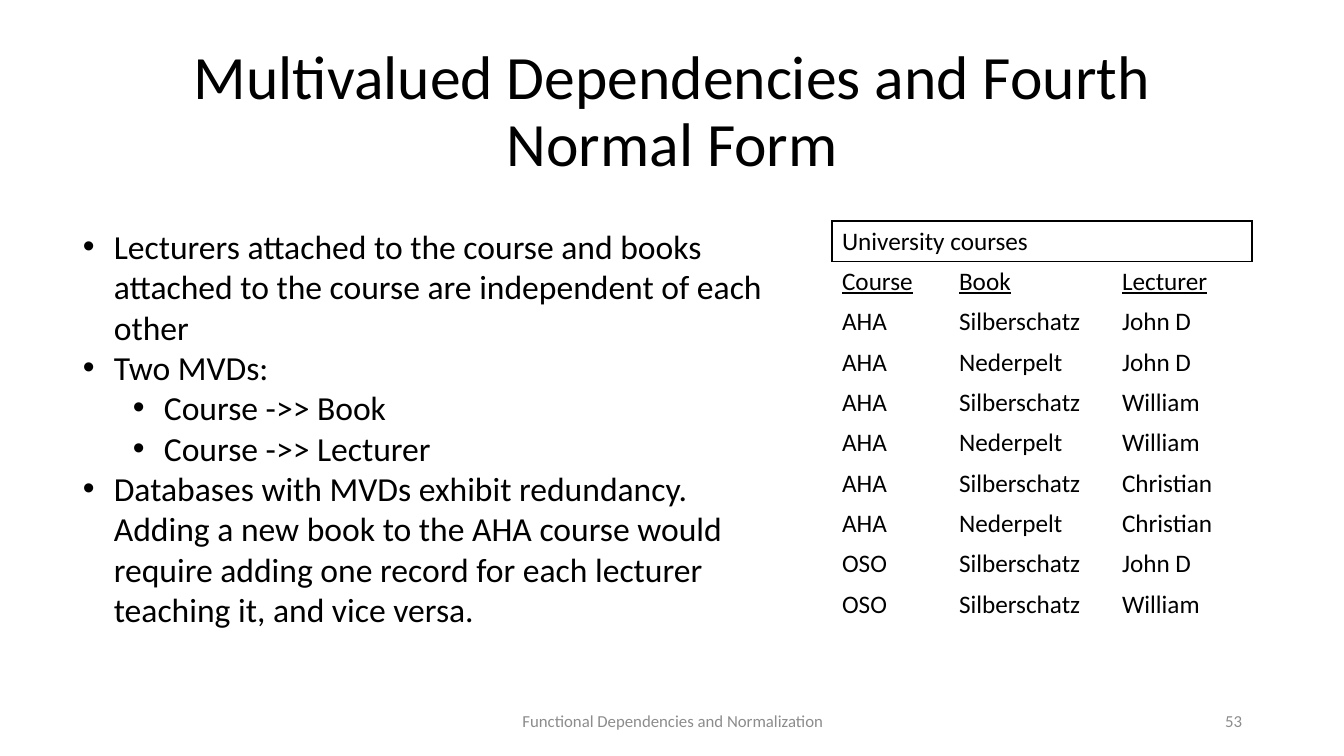
"""Build the slide on multivalued dependencies and fourth normal form."""
from dataclasses import dataclass

from lxml.etree import SubElement
from pptx import Presentation
from pptx.dml.color import RGBColor
from pptx.enum.text import MSO_ANCHOR as Anchor, PP_ALIGN as Align
from pptx.oxml.ns import qn
from pptx.slide import Slide
from pptx.table import _Cell as Cell
from pptx.text.text import _Paragraph as Paragraph
from pptx.util import Pt

EMU_PER_PX = 914400 / 100.8
FONT = "Calibri"
BLACK = "000000"
GREY = "8C8C8C"
NO_GRID_STYLE = "{2D5ABB26-0587-4C30-8999-92F81FD0307C}"
BULLET_HANG = 31
LEVEL_STEP = 50


@dataclass(frozen=True)
class Line:
    """One paragraph with its outline level."""
    text: str
    level: int = 0


@dataclass(frozen=True)
class Block:
    """A text box measured in px, with its paragraphs."""
    left: int
    top: int
    width: int
    height: int
    size: int
    lines: tuple[Line, ...]
    color: str = BLACK
    align: Align = Align.LEFT
    anchor: Anchor = Anchor.MIDDLE
    spacing: float = 1.0
    bulleted: bool = False


BLOCKS = (
    Block(93, 40, 1159, 146, 44,
          (Line("Multivalued Dependencies and Fourth Normal Form"),),
          align=Align.CENTER, spacing=0.9),
    Block(446, 701, 454, 40, 12,
          (Line("Functional Dependencies and Normalization"),),
          GREY, Align.CENTER),
    Block(950, 701, 302, 40, 12, (Line("53"),), GREY, Align.RIGHT),
    Block(73, 221, 711, 417, 24, (
        Line("Lecturers attached to the course and books attached to the "
             "course are independent of each other"),
        Line("Two MVDs:"),
        Line("Course ->> Book", 1),
        Line("Course ->> Lecturer", 1),
        Line("Databases with MVDs exhibit redundancy. Adding a new book to "
             "the AHA course would require adding one record for each "
             "lecturer teaching it, and vice versa."),
    ), anchor=Anchor.TOP, bulleted=True),
)

TABLE_LEFT, TABLE_TOP, ROW_HEIGHT = 832, 221, 40
COLUMN_WIDTHS = (117, 163, 140)
COURSES = (
    ("University courses", "", ""),
    ("Course", "Book", "Lecturer"),
    ("AHA", "Silberschatz", "John D"),
    ("AHA", "Nederpelt", "John D"),
    ("AHA", "Silberschatz", "William"),
    ("AHA", "Nederpelt", "William"),
    ("AHA", "Silberschatz", "Christian"),
    ("AHA", "Nederpelt", "Christian"),
    ("OSO", "Silberschatz", "John D"),
    ("OSO", "Silberschatz", "William"),
)
CAPTION_BORDERS = (("lnL", "lnR", "lnT", "lnB"), ("lnT",), ("lnR", "lnT"))


def px(length: int) -> int:
    """Turn px into EMU."""
    return round(length * EMU_PER_PX)


def rgb(color: str) -> RGBColor:
    """Turn a hex string into a colour."""
    return RGBColor.from_string(color)


def set_font(paragraph: Paragraph, size: int, color: str) -> None:
    """Set the font of a whole paragraph."""
    paragraph.font.name = FONT
    paragraph.font.size = Pt(size)
    paragraph.font.color.rgb = rgb(color)


def add_bullet(paragraph: Paragraph, level: int) -> None:
    """Give a paragraph a hanging bullet at its level."""
    paragraph.level = level
    properties = paragraph._p.get_or_add_pPr()
    properties.set("marL", str(px(BULLET_HANG + level * LEVEL_STEP)))
    properties.set("indent", str(-px(BULLET_HANG)))
    SubElement(properties, qn("a:buFont")).set("typeface", "Arial")
    SubElement(properties, qn("a:buChar")).set("char", "•")


def add_block(slide: Slide, block: Block) -> None:
    """Draw one text block."""
    frame = slide.shapes.add_textbox(
        px(block.left), px(block.top), px(block.width), px(block.height)
    ).text_frame
    frame.word_wrap = True
    frame.vertical_anchor = block.anchor
    for index, line in enumerate(block.lines):
        paragraph = frame.add_paragraph() if index else frame.paragraphs[0]
        paragraph.text = line.text
        paragraph.alignment = block.align
        paragraph.line_spacing = block.spacing
        if block.bulleted:
            add_bullet(paragraph, line.level)
        set_font(paragraph, block.size, block.color)


def add_borders(cell: Cell, sides: tuple[str, ...]) -> None:
    """Draw thin black borders on the named sides of a cell."""
    properties = cell._tc.get_or_add_tcPr()
    for position, side in enumerate(sides):
        border = properties.makeelement(qn(f"a:{side}"), {"w": str(Pt(1))})
        properties.insert(position, border)
        fill = SubElement(border, qn("a:solidFill"))
        SubElement(fill, qn("a:srgbClr")).set("val", BLACK)


def add_courses(slide: Slide) -> None:
    """Draw the table of university courses."""
    table = slide.shapes.add_table(
        len(COURSES), len(COLUMN_WIDTHS), px(TABLE_LEFT), px(TABLE_TOP),
        px(sum(COLUMN_WIDTHS)), px(ROW_HEIGHT * len(COURSES))
    ).table
    table.first_row = table.horz_banding = False
    table._tbl.tblPr.find(qn("a:tableStyleId")).text = NO_GRID_STYLE
    for column, width in zip(table.columns, COLUMN_WIDTHS):
        column.width = px(width)
    for row_index, row in enumerate(COURSES):
        for column_index, text in enumerate(row):
            cell = table.cell(row_index, column_index)
            cell.text = text
            cell.vertical_anchor = Anchor.MIDDLE
            cell.fill.background()
            paragraph = cell.text_frame.paragraphs[0]
            set_font(paragraph, 18, BLACK)
            if row_index == 1:
                paragraph.font.underline = True
    for column_index, sides in enumerate(CAPTION_BORDERS):
        add_borders(table.cell(0, column_index), sides)
    table.cell(0, 0).merge(table.cell(0, len(COLUMN_WIDTHS) - 1))


def main() -> None:
    """Build and save the slide."""
    deck = Presentation()
    deck.slide_width, deck.slide_height = px(1344), px(756)
    slide = deck.slides.add_slide(deck.slide_layouts[6])
    for block in BLOCKS:
        add_block(slide, block)
    add_courses(slide)
    deck.save("out.pptx")


if __name__ == "__main__":
    main()
